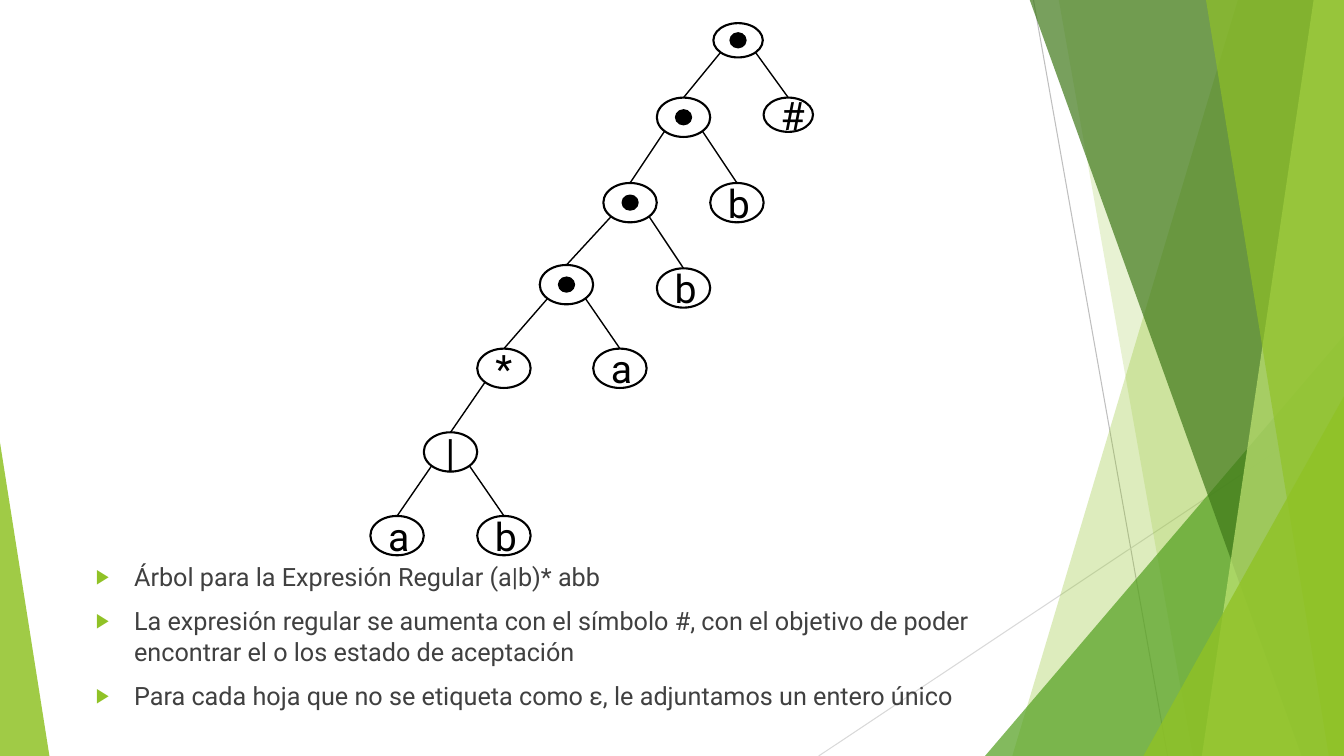
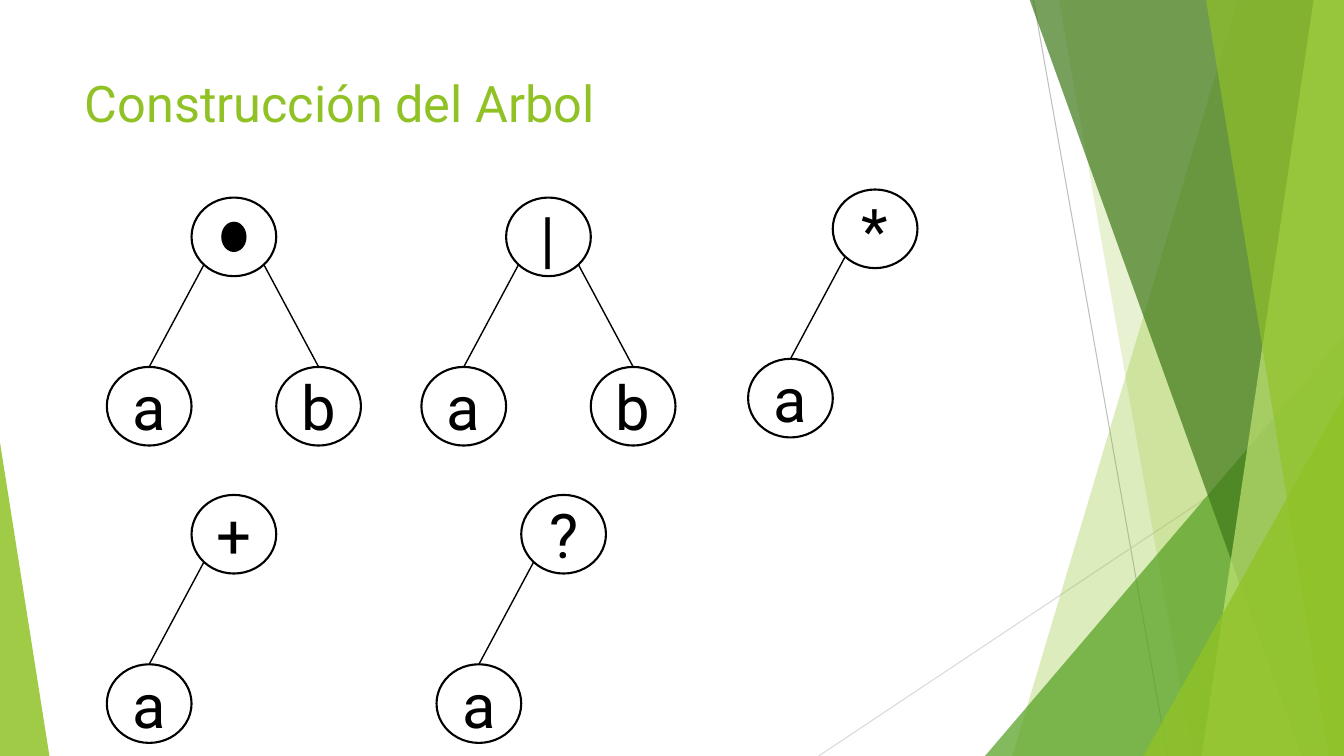
from dataclasses import dataclass

from lxml import etree
from pptx import Presentation
from pptx import util as u
from pptx.dml.color import RGBColor
from pptx.enum import shapes, text
from pptx.oxml import ns

WIDE, HIGH = 13.33, 7.5


@dataclass(frozen=True)
class Theme:
    font: str = "Roboto"
    ink: str = "000000"
    body: str = "404040"
    lime: str = "90C226"
    green: str = "54A021"
    forest: str = "3F7819"
    pale: str = "C0E474"
    rule_dark: str = "BFBFBF"
    rule_light: str = "D9D9D9"
    title_size: int = 36
    body_size: int = 18
    outline: float = 1.5
    edge: float = 1
    hairline: float = 0.75


THEME = Theme()


@dataclass(frozen=True)
class TreeStyle:
    """Grid step, node sizes in inches and letter size of a tree."""
    step: tuple
    node: tuple
    small: tuple
    dot: tuple
    letter: int


PARSE_TREE = TreeStyle((0.53, 0.83), (0.53, 0.39), (0.49, 0.34), (0.15, 0.14), 28)
RULE_TREE = TreeStyle((0.84, 1.68), (0.84, 0.78), (0.84, 0.78), (0.23, 0.28), 44)


@dataclass(frozen=True)
class Node:
    """A tree node, placed in grid steps from its parent."""
    sign: str
    across: float = 0
    down: float = 1
    children: tuple = ()
    small: bool = False


DOT = "•"
LEFT, RIGHT = -1, 1


def inches(*values):
    return [u.Inches(value) for value in values]


def apply(target, values):
    for name, value in values.items():
        setattr(target, name, value)


def add_xml(parent, tag, **attributes):
    child = etree.SubElement(parent, ns.qn(tag))
    for name, value in attributes.items():
        child.set(name, str(value))
    return child


def paint(shape, colour, opacity=100):
    shape.shadow.inherit = False
    shape.line.fill.background()
    shape.fill.solid()
    shape.fill.fore_color.rgb = RGBColor.from_string(colour)
    if opacity < 100:
        mark = next(shape.element.iter(ns.qn("a:srgbClr")))
        add_xml(mark, "a:alpha", val=opacity * 1000)


def add_line(group, start, end, colour, width):
    line = group.shapes.add_connector(
        shapes.MSO_CONNECTOR.STRAIGHT, *inches(*start, *end))
    line.line.color.rgb = RGBColor.from_string(colour)
    line.line.width = u.Pt(width)
    add_xml(line.element.spPr, "a:effectLst")


def add_facet(group, top, bottom, colour, opacity):
    """Full-height band from a slanted left side to the slide's right edge."""
    builder = group.shapes.build_freeform(*inches(top, -0.01))
    corners = (WIDE, -0.01), (WIDE, HIGH), (bottom, HIGH)
    builder.add_line_segments([inches(*corner) for corner in corners], close=True)
    paint(builder.convert_to_shape(), colour, opacity)


def add_corner(group, left, top, width, apex, colour, opacity):
    """Triangle standing on the slide's bottom edge."""
    triangle = group.shapes.add_shape(
        shapes.MSO_SHAPE.ISOSCELES_TRIANGLE, *inches(left, top, width, HIGH - top))
    triangle.adjustments[0] = apex
    paint(triangle, colour, opacity)


def decorate_master(deck, page):
    """Build the facets on a page, then move them to the master."""
    group = page.shapes.add_group_shape()
    add_line(group, (10.25, 0), (11.58, HIGH), THEME.rule_dark, THEME.hairline)
    add_line(group, (WIDE, 4.03), (8.12, HIGH), THEME.rule_light, THEME.hairline)
    add_facet(group, 12.28, 10.04, THEME.lime, 30)
    add_facet(group, 10.5, 11.83, THEME.lime, 20)
    add_corner(group, 9.77, 3.33, WIDE - 9.77, 1, THEME.green, 72)
    add_facet(group, 10.21, 12.91, THEME.forest, 70)
    add_facet(group, 13.03, 11.92, THEME.pale, 70)
    add_facet(group, 11.96, 13.18, THEME.lime, 65)
    add_corner(group, 11.34, 3.93, WIDE - 11.34, 1, THEME.lime, 80)
    add_corner(group, 0, 4.39, 0.49, 0, THEME.lime, 85)
    for number, label in enumerate(group.element.iter(ns.qn("p:cNvPr")), 100):
        label.set("id", str(number))
    deck.slide_master.shapes.element.insert(2, group.element)


def add_span(para, words, size, colour):
    span = para.add_run()
    span.text = words
    apply(span.font, {"name": THEME.font, "size": u.Pt(size)})
    span.font.color.rgb = RGBColor.from_string(colour)


def add_bullet(para):
    properties = para._p.get_or_add_pPr()
    indent = u.Inches(0.38)
    properties.set("marL", str(indent))
    properties.set("indent", str(-indent))
    add_xml(add_xml(properties, "a:buClr"), "a:srgbClr", val=THEME.lime)
    add_xml(properties, "a:buSzPct", val=80000)
    add_xml(properties, "a:buChar", char="▶")


def write_placeholder(box, frame, lines, size, colour, bullets=False):
    apply(box, dict(zip(("left", "top", "width", "height"), inches(*frame))))
    apply(box.text_frame, {
        "word_wrap": True,
        "auto_size": text.MSO_AUTO_SIZE.NONE,
        "vertical_anchor": text.MSO_ANCHOR.TOP,
    })
    for index, words in enumerate(lines):
        para = box.text_frame.add_paragraph() if index else box.text_frame.paragraphs[0]
        if bullets:
            add_bullet(para)
        apply(para, {
            "alignment": text.PP_ALIGN.LEFT,
            "space_before": u.Pt(10 if index else 0),
        })
        add_span(para, words, size, colour)


def add_oval(group, centre, size):
    (x, y), (width, height) = centre, size
    oval = group.shapes.add_shape(
        shapes.MSO_SHAPE.OVAL, *inches(x - width / 2, y - height / 2, width, height))
    paint(oval, THEME.ink)
    oval.line.color.rgb = RGBColor.from_string(THEME.ink)
    oval.line.width = u.Pt(THEME.outline)
    return oval


def add_node(group, node, centre, style):
    """Draw a node and, below it, its edges and children."""
    width, height = size = style.small if node.small else style.node
    oval = add_oval(group, centre, size)
    oval.fill.background()
    if node.sign == DOT:
        add_oval(group, centre, style.dot)
    else:
        para = oval.text_frame.paragraphs[0]
        para.alignment = text.PP_ALIGN.CENTER
        add_span(para, node.sign, style.letter, THEME.ink)

    x, y = centre
    for child in node.children:
        side = LEFT if child.across < 0 else RIGHT
        child_x = x + child.across * style.step[0]
        child_y = y + child.down * style.step[1]
        child_height = (style.small if child.small else style.node)[1]
        start = x + side * width * 0.354, y + height * 0.354
        add_line(group, start, (child_x, child_y - child_height / 2),
                 THEME.ink, THEME.edge)
        add_node(group, child, (child_x, child_y), style)


def add_tree(page, root, centre, style):
    add_node(page.shapes.add_group_shape(), root, centre, style)


def expression_tree():
    union = Node("|", LEFT, children=(Node("a", LEFT), Node("b", RIGHT)))
    star = Node("*", -1.17, children=(union,))
    first = Node(DOT, -1.19, 0.98, (star, Node("a", RIGHT)))
    second = Node(DOT, LEFT, 1.02, (first, Node("b", RIGHT, 1.02)))
    third = Node(DOT, -1.02, 0.92, (second, Node("b", RIGHT, 1.02)))
    end = Node("#", 0.94, 0.89, small=True)
    return Node(DOT, children=(third, end), small=True)


def build_expression_page(deck):
    page = deck.slides.add_slide(deck.slide_layouts[1])
    title = page.shapes.title.element
    title.getparent().remove(title)
    decorate_master(deck, page)
    write_placeholder(page.placeholders[1], (0.85, 5.52, 9.33, 1.73), (
        "Árbol para la Expresión Regular (a|b)* abb",
        "La expresión regular se aumenta con el símbolo #, con el objetivo "
        "de poder encontrar el o los estado de aceptación",
        "Para cada hoja que no se etiqueta como ε, le adjuntamos un entero único",
    ), THEME.body_size, THEME.body, bullets=True)
    add_tree(page, expression_tree(), (7.32, 0.4), PARSE_TREE)


def build_rules_page(deck):
    page = deck.slides.add_slide(deck.slide_layouts[5])
    write_placeholder(page.shapes.title, (0.74, 0.67, 9.4, 1.44),
                      ["Construcción del Arbol"], THEME.title_size, THEME.lime)
    one = (Node("a", LEFT),)
    two = one + (Node("b", RIGHT),)
    for sign, children, centre in (
        (DOT, two, (2.32, 2.35)),
        ("|", two, (5.44, 2.35)),
        ("*", one, (8.68, 2.27)),
        ("+", one, (2.32, 5.3)),
        ("?", one, (5.59, 5.3)),
    ):
        add_tree(page, Node(sign, children=children), centre, RULE_TREE)


def main():
    deck = Presentation()
    deck.slide_width, deck.slide_height = inches(WIDE, HIGH)
    build_expression_page(deck)
    build_rules_page(deck)
    deck.save("out.pptx")


if __name__ == "__main__":
    main()
